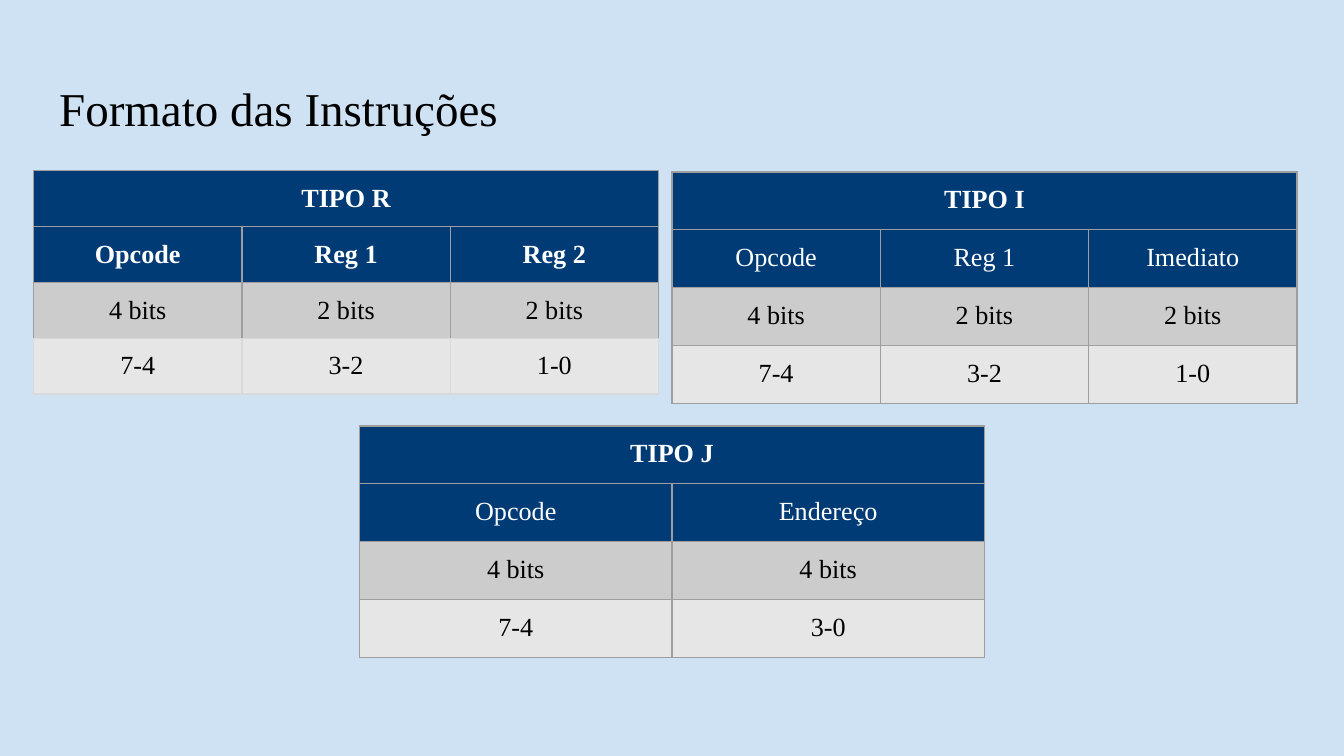
from lxml.etree import SubElement as Sub
from pptx import Presentation
from pptx.dml.color import RGBColor as RGB
from pptx.enum.text import MSO_ANCHOR as Anchor, PP_ALIGN as Align
from pptx.oxml.ns import qn
from pptx.util import Inches, Pt

FONT = "Times New Roman"
HEX = {"sky": "CFE2F3", "navy": "003B76", "gray": "CCCCCC", "pale": "E6E6E6",
       "white": "FFFFFF", "black": "000000", "line": "9E9E9E", "soft": "D9D9D9"}
TITLE = "Formato das Instruções"
ROWS = [("navy", "white"), ("navy", "white"), ("gray", "black"), ("pale", "black")]
PAGE = 10
WIDE = 4.65
TABLES = [
    {"name": "TIPO R", "at": (0.25, 1.27), "high": 0.26, "bold": 2, "soft": True,
     "body": [("Opcode", "Reg 1", "Reg 2"), ("4 bits", "2 bits", "2 bits"),
              ("7-4", "3-2", "1-0")]},
    {"name": "TIPO I", "at": (PAGE / 2, 1.28), "high": 0.43, "bold": 1, "soft": False,
     "body": [("Opcode", "Reg 1", "Imediato"), ("4 bits", "2 bits", "2 bits"),
              ("7-4", "3-2", "1-0")]},
    {"name": "TIPO J", "at": ((PAGE - WIDE) / 2, 3.17), "high": 0.43, "bold": 1,
     "soft": False,
     "body": [("Opcode", "Endereço"), ("4 bits", "4 bits"), ("7-4", "3-0")]},
]


def color(key):
    return RGB.from_string(HEX[key])


def write(para, text, size, ink, bold=False):
    run = para.add_run()
    run.text = text
    font = run.font
    font.name, font.size, font.bold = FONT, Pt(size), bold
    font.color.rgb = color(ink)


def pad(box):
    box.margin_left = box.margin_right = Inches(0.1)
    box.margin_top = box.margin_bottom = Inches(0.1)


def edge(cell, keys):
    props = cell._tc.get_or_add_tcPr()
    for side, key in zip("LRTB", keys):
        line = Sub(props, qn(f"a:ln{side}"), w=str(Pt(0.75)))
        fill = Sub(line, qn("a:solidFill"))
        Sub(fill, qn("a:srgbClr"), val=HEX[key])


def edges(soft, row):
    if soft and row == 3:
        return ["soft"] * 4
    return ["line"] * 3 + ["soft" if soft and row == 2 else "line"]


def draw(slide, data):
    count = len(data["body"][0])
    grid = [(data["name"],) + ("",) * (count - 1)] + data["body"]
    left, top = data["at"]
    table = slide.shapes.add_table(
        len(grid), count, Inches(left), Inches(top),
        Inches(WIDE), Inches(data["high"] * len(grid))).table
    for col in table.columns:
        col.width = Inches(WIDE / count)
    table.cell(0, 0).merge(table.cell(0, count - 1))
    for r, (texts, (back, ink)) in enumerate(zip(grid, ROWS)):
        table.rows[r].height = Inches(data["high"])
        for c, text in enumerate(texts):
            cell = table.cell(r, c)
            pad(cell)
            edge(cell, edges(data["soft"], r))
            cell.fill.solid()
            cell.fill.fore_color.rgb = color(back)
            if text:
                para = cell.text_frame.paragraphs[0]
                para.alignment = Align.CENTER
                write(para, text, 14, ink, r < data["bold"])


def main():
    deck = Presentation()
    deck.slide_width, deck.slide_height = Inches(PAGE), Inches(PAGE * 9 / 16)
    slide = deck.slides.add_slide(deck.slide_layouts[5])
    slide.background.fill.solid()
    slide.background.fill.fore_color.rgb = color("sky")
    title = slide.shapes.title
    title.left, title.top = Inches(0.34), Inches(0.49)
    title.width, title.height = Inches(9.32), Inches(0.63)
    frame = title.text_frame
    frame.vertical_anchor = Anchor.TOP
    pad(frame)
    para = frame.paragraphs[0]
    para.alignment = Align.LEFT
    write(para, TITLE, 25.2, "black")
    for data in TABLES:
        draw(slide, data)
    deck.save("out.pptx")


if __name__ == "__main__":
    main()
